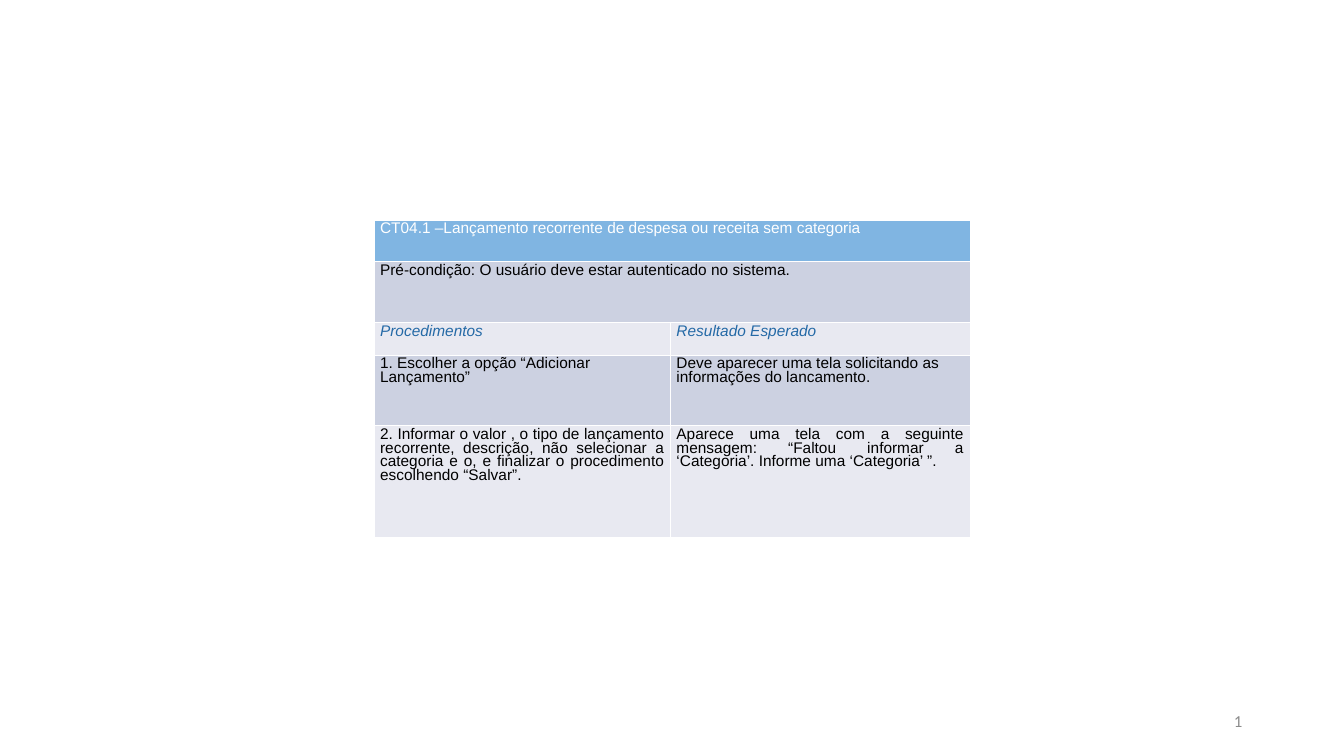
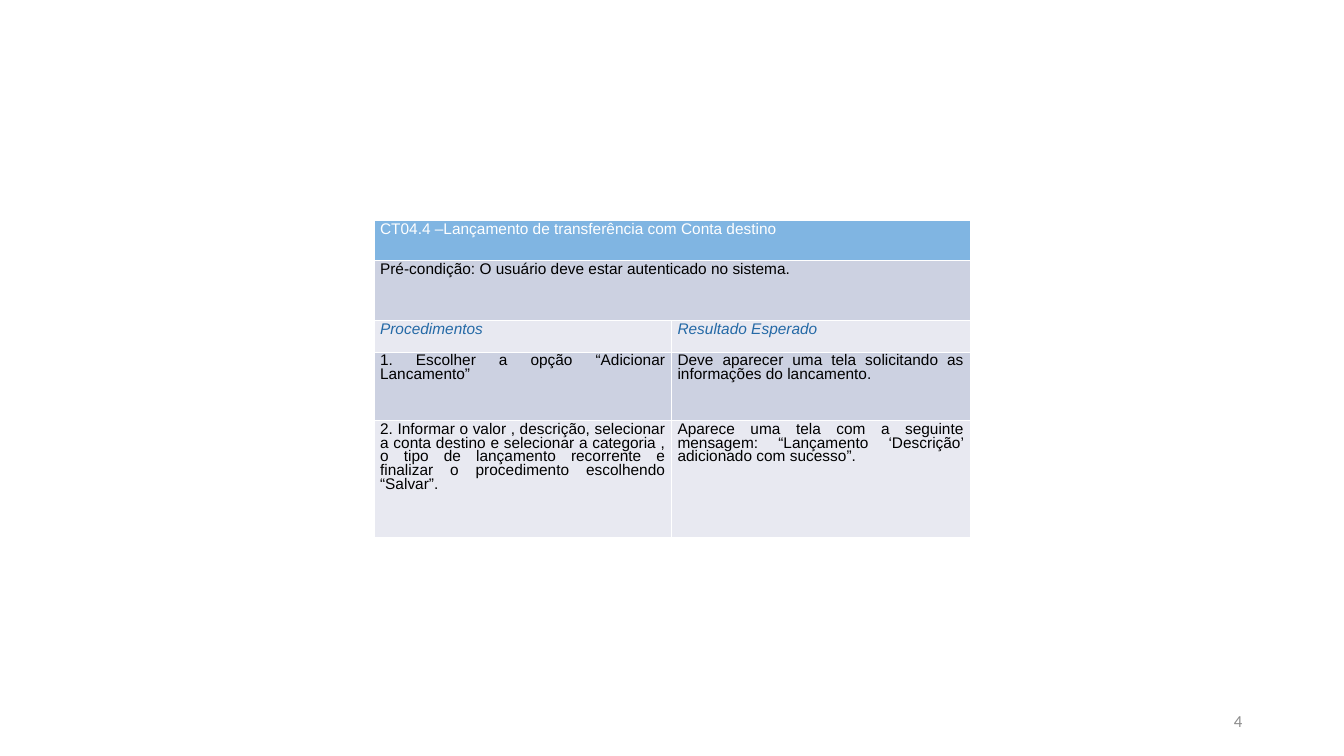
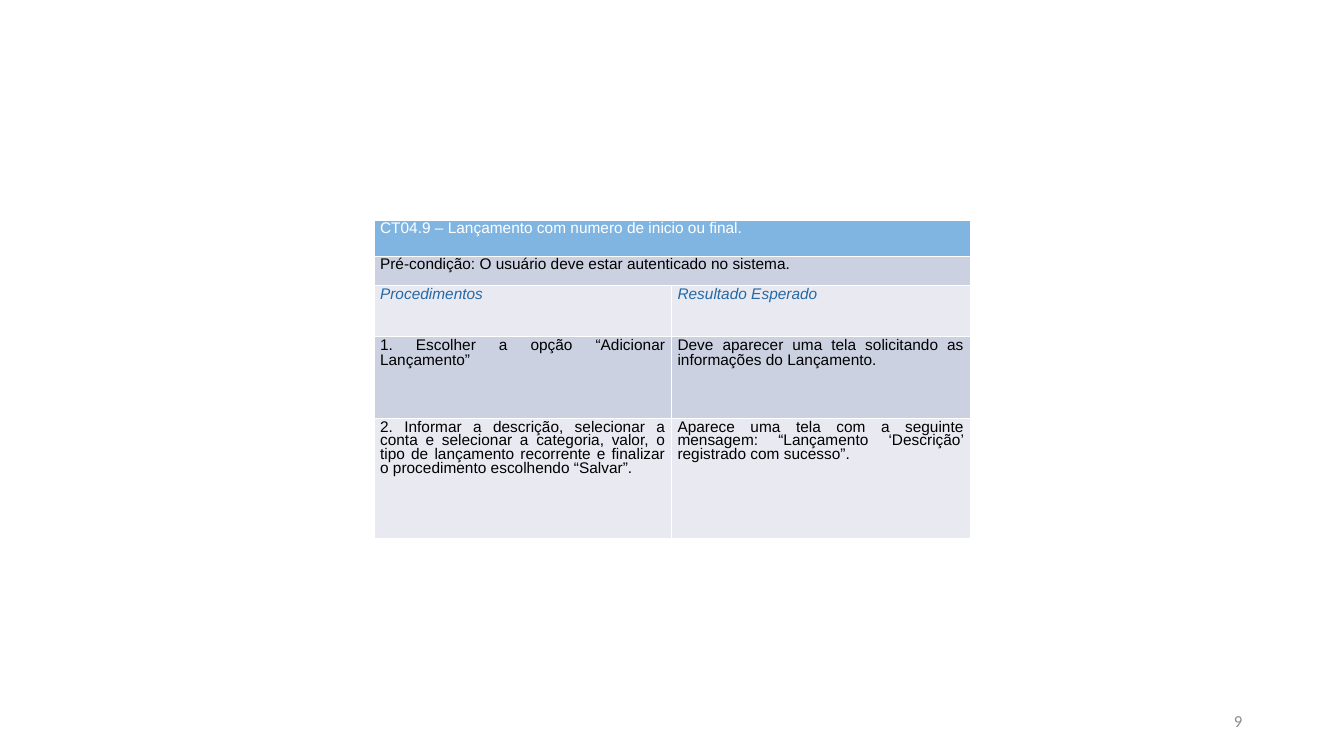
from lxml.etree import SubElement
from pptx import Presentation
from pptx.dml.color import RGBColor
from pptx.enum.text import MSO_ANCHOR, PP_ALIGN
from pptx.oxml.ns import qn
from pptx.util import Inches, Pt

WHITE, BLACK, GRAY, BLUE = "FFFFFF", "000000", "8C8C8C", "2469A6"
HEAD, BAND, LIGHT = "80B5E2", "CCD1E1", "E8E9F1"
LEFT, JUST = PP_ALIGN.LEFT, PP_ALIGN.JUSTIFY
FILLS = [HEAD, BAND, LIGHT, BAND, LIGHT]
COLORS = [WHITE, BLACK, BLUE, BLACK, BLACK]
TABLE_W = 5.91
PRECONDITION = "Pré-condição: O usuário deve estar autenticado no sistema."


def rgb(color):
    return RGBColor.from_string(color)


def write(tf, text, size=11, font="Arial", color=BLACK, italic=False, align=LEFT, spacing=1.0):
    p = tf.paragraphs[0]
    p.alignment, p.line_spacing = align, spacing
    r = p.add_run()
    r.text = text
    r.font.size, r.font.name, r.font.italic = Pt(size), font, italic
    r.font.bold = False
    r.font.color.rgb = rgb(color)


cases = [
    {
        "number": "1",
        "title": "CT04.1 –Lançamento recorrente de despesa ou receita sem categoria",
        "col": 2.94,
        "rows": [0.41, 0.61, 0.32, 0.7, 1.11],
        "spacing": [0.8, 0.8, 0.8, 0.8, 0.8],
        "step_align": LEFT,
        "steps": [
            ("1. Escolher a opção “Adicionar Lançamento”",
             "Deve aparecer uma tela solicitando as informações do lancamento."),
            ("2. Informar o valor , o tipo de lançamento recorrente, descrição, não selecionar a "
             "categoria e o, e finalizar o procedimento escolhendo “Salvar”.",
             "Aparece uma tela com a seguinte mensagem: “Faltou informar a ‘Categoria’. "
             "Informe uma ‘Categoria’ ”."),
        ],
    },
    {
        "number": "4",
        "title": "CT04.4 –Lançamento de transferência com Conta destino",
        "col": 2.95,
        "rows": [0.4, 0.6, 0.31, 0.68, 1.16],
        "spacing": [0.86, 0.8, 0.8, 0.8, 0.8],
        "step_align": JUST,
        "steps": [
            ("1. Escolher a opção “Adicionar Lancamento”",
             "Deve aparecer uma tela solicitando as informações do lancamento."),
            ("2. Informar o valor , descrição, selecionar a conta destino e selecionar a "
             "categoria , o tipo de lançamento recorrente e finalizar o procedimento "
             "escolhendo “Salvar”.",
             "Aparece uma tela com a seguinte mensagem: “Lançamento ‘Descrição’ "
             "adicionado com sucesso”."),
        ],
    },
    {
        "number": "9",
        "title": "CT04.9 – Lançamento com numero de inicio ou final.",
        "col": 2.95,
        "rows": [0.36, 0.29, 0.5, 0.82, 1.19],
        "spacing": [0.8, 0.8, 0.8, 0.86, 0.8],
        "step_align": JUST,
        "steps": [
            ("1. Escolher a opção “Adicionar Lançamento”",
             "Deve aparecer uma tela solicitando as informações do Lançamento."),
            ("2. Informar a descrição, selecionar a conta e selecionar a categoria, valor, o "
             "tipo de lançamento recorrente e finalizar o procedimento escolhendo “Salvar”.",
             "Aparece uma tela com a seguinte mensagem: “Lançamento ‘Descrição’ "
             "registrado com sucesso”."),
        ],
    },
]

prs = Presentation()
prs.slide_width, prs.slide_height = Inches(13.33), Inches(7.5)

for case in cases:
    s = prs.slides.add_slide(prs.slide_layouts[6])

    tf = s.shapes.add_textbox(Inches(9.42), Inches(6.95), Inches(3), Inches(0.4)).text_frame
    tf.word_wrap, tf.vertical_anchor = True, MSO_ANCHOR.MIDDLE
    write(tf, case["number"], size=12, font="Calibri", color=GRAY, align=PP_ALIGN.RIGHT)

    table = s.shapes.add_table(5, 2, Inches(3.71), Inches(2.18),
                               Inches(TABLE_W), Inches(sum(case["rows"]))).table
    table.first_row = table.horz_banding = False
    for column, width in zip(table.columns, (case["col"], TABLE_W - case["col"])):
        column.width = Inches(width)

    texts = [(case["title"],), (PRECONDITION,), ("Procedimentos", "Resultado Esperado")]
    texts += case["steps"]
    aligns = [LEFT, LEFT, LEFT, case["step_align"], JUST]
    for i, row in enumerate(table.rows):
        row.height = Inches(case["rows"][i])
        for cell in row.cells:
            cell.margin_left = cell.margin_right = Inches(0.06)
            cell.margin_top = cell.margin_bottom = Inches(0.03)
            for side in ("a:lnL", "a:lnR", "a:lnT", "a:lnB"):
                ln = SubElement(cell._tc.get_or_add_tcPr(), qn(side), w=str(Pt(0.06)))
                SubElement(SubElement(ln, qn("a:solidFill")), qn("a:srgbClr"), val=WHITE)
            cell.fill.solid()
            cell.fill.fore_color.rgb = rgb(FILLS[i])
        if len(texts[i]) == 1:
            table.cell(i, 0).merge(table.cell(i, 1))
        for j, text in enumerate(texts[i]):
            write(table.cell(i, j).text_frame, text, color=COLORS[i], italic=i == 2,
                  align=aligns[i], spacing=case["spacing"][i])

prs.save("out.pptx")
